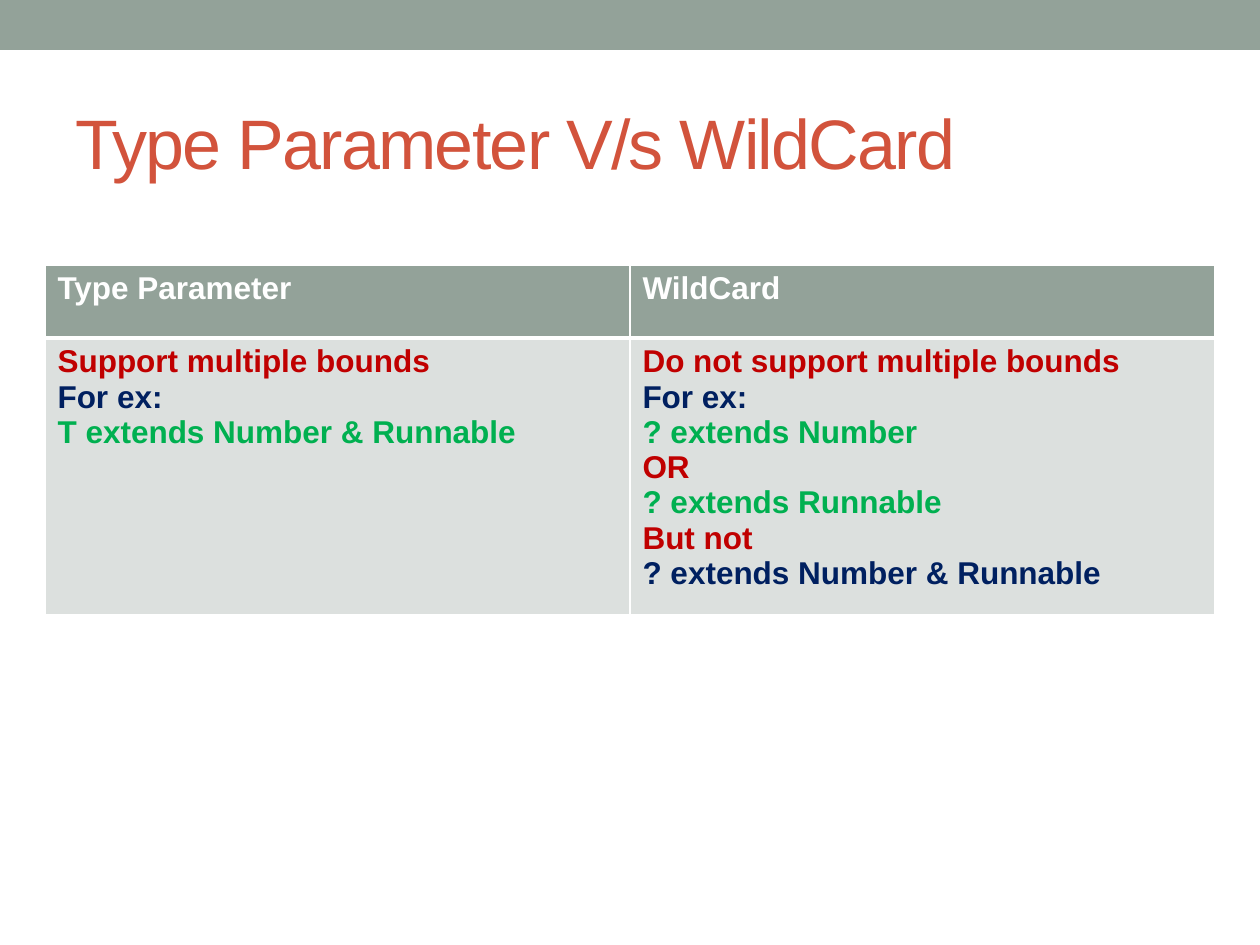
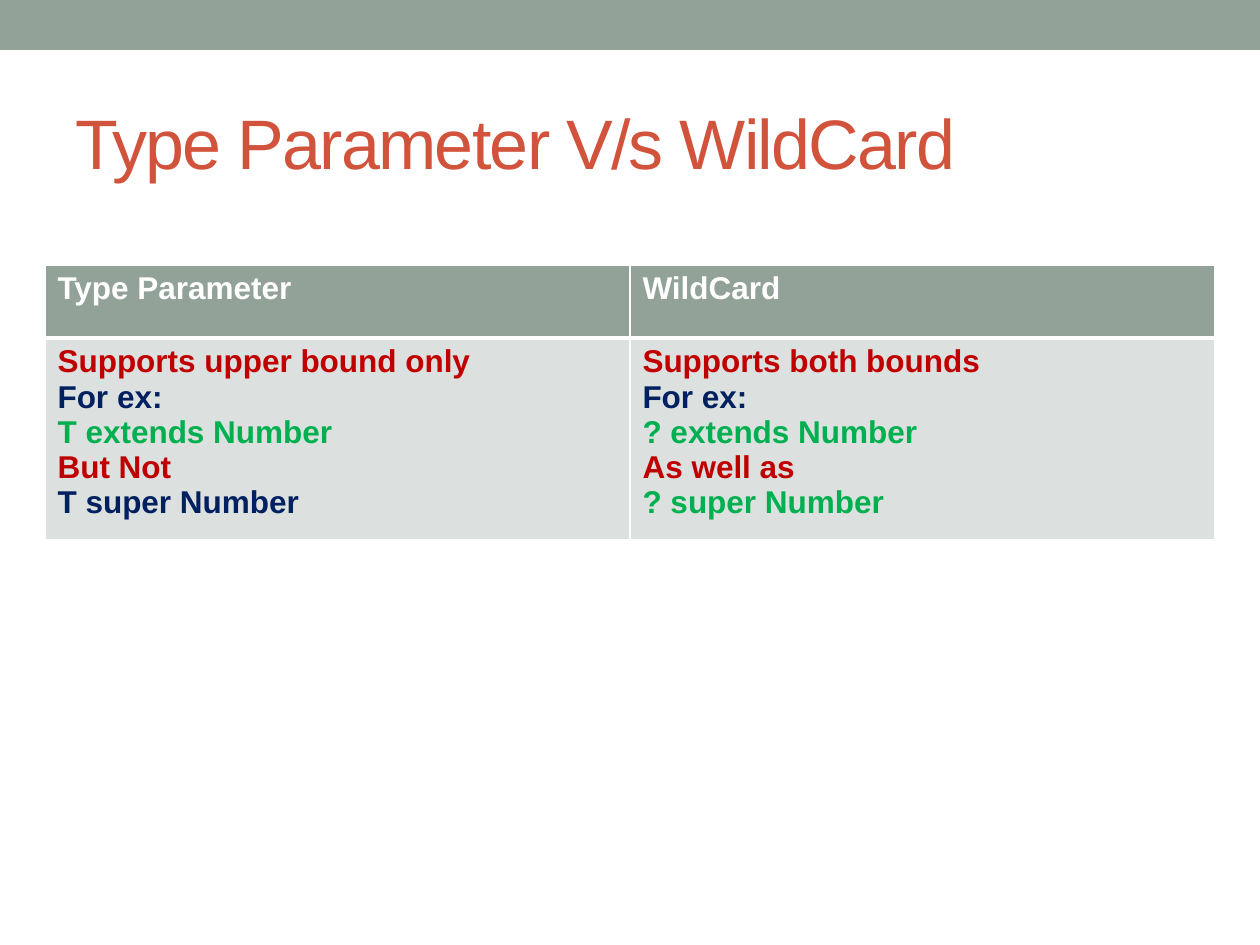
import lxml.etree
import pptx
import pptx.dml.color
import pptx.enum.shapes
import pptx.enum.text
import pptx.oxml.ns
import pptx.util

PX = 914400 / 126
SLIDE_W, SLIDE_H = 1260, 945
FONT = "Arial"
SAGE, RUST, WHITE, PALE = "93A299", "D2533C", "FFFFFF", "DCE0DE"
RED, NAVY, GREEN = "C00000", "002060", "00B050"
TITLE = "Type Parameter V/s WildCard"
HEADINGS = ["Type Parameter", "WildCard"]
TITLE_BOX = (63, 73, 1134, 136)
TABLE_POS = (45, 265, 1170)
HEADER_H, LINE_H, CELL_PADDING = 73, 35, 13

COMPARISONS = [
    [
        [("Support multiple bounds", RED), ("For ex:", NAVY),
         ("T extends Number & Runnable", GREEN)],
        [("Do not support multiple bounds", RED), ("For ex:", NAVY),
         ("? extends Number", GREEN), ("OR", RED),
         ("? extends Runnable", GREEN), ("But not", RED),
         ("? extends Number & Runnable", NAVY)],
    ],
    [
        [("Supports upper bound only", RED), ("For ex:", NAVY),
         ("T extends Number", GREEN), ("But Not", RED),
         ("T super Number", NAVY)],
        [("Supports both bounds", RED), ("For ex:", NAVY),
         ("? extends Number", GREEN), ("As well as", RED),
         ("? super Number", GREEN)],
    ],
]


def emu(*lengths):
    return [pptx.util.Emu(round(n * PX)) for n in lengths]


def rgb(color):
    return pptx.dml.color.RGBColor.from_string(color)


def style(p, size, color, bold=False):
    p.font.name = FONT
    p.font.size = pptx.util.Pt(size)
    p.font.bold = bold
    p.font.color.rgb = rgb(color)


def add_band(s, box):
    sp = s.shapes.add_shape(pptx.enum.shapes.MSO_SHAPE.RECTANGLE, *emu(*box))
    sp.shadow.inherit = False
    sp.fill.solid()
    sp.fill.fore_color.rgb = rgb(SAGE)
    sp.line.fill.background()


def add_title(s, box, text):
    tf = s.shapes.add_textbox(*emu(*box)).text_frame
    tf.word_wrap = True
    tf.vertical_anchor = pptx.enum.text.MSO_ANCHOR.MIDDLE
    p = tf.paragraphs[0]
    r = p.add_run()
    r.text = text
    r.font._element.set("spc", "-100")
    style(p, 40, RUST)


def add_borders(cell, **widths):
    tc_pr = cell._tc.get_or_add_tcPr()
    qn = pptx.oxml.ns.qn
    for side in "LRTB":
        width = pptx.util.Pt(widths.get(side, 1))
        ln = lxml.etree.SubElement(tc_pr, qn(f"a:ln{side}"), w=str(width))
        fill = lxml.etree.SubElement(ln, qn("a:solidFill"))
        lxml.etree.SubElement(fill, qn("a:srgbClr"), val=WHITE)


def fill_cell(cell, lines, color, **widths):
    add_borders(cell, **widths)
    cell.fill.solid()
    cell.fill.fore_color.rgb = rgb(color)
    tf = cell.text_frame
    tf.text = "\n".join(text for text, _ in lines)
    for p, (_, text_color) in zip(tf.paragraphs, lines):
        style(p, 18, text_color, bold=True)


def add_comparison(s, pos, columns):
    left, top, width = pos
    body_h = max(map(len, columns)) * LINE_H + CELL_PADDING
    box = emu(left, top, width, HEADER_H + body_h)
    table = s.shapes.add_table(2, len(columns), *box).table
    for row, height in zip(table.rows, emu(HEADER_H, body_h)):
        row.height = height
    for i, (heading, lines) in enumerate(zip(HEADINGS, columns)):
        fill_cell(table.cell(0, i), [(heading, WHITE)], SAGE, B=3)
        fill_cell(table.cell(1, i), lines, PALE, T=3)


def add_comparison_slide(prs, columns):
    s = prs.slides.add_slide(prs.slide_layouts[6])
    add_band(s, (0, 0, SLIDE_W, 50))
    add_title(s, TITLE_BOX, TITLE)
    add_comparison(s, TABLE_POS, columns)


def main():
    prs = pptx.Presentation()
    prs.slide_width, prs.slide_height = emu(SLIDE_W, SLIDE_H)
    for columns in COMPARISONS:
        add_comparison_slide(prs, columns)
    prs.save("out.pptx")


if __name__ == "__main__":
    main()
